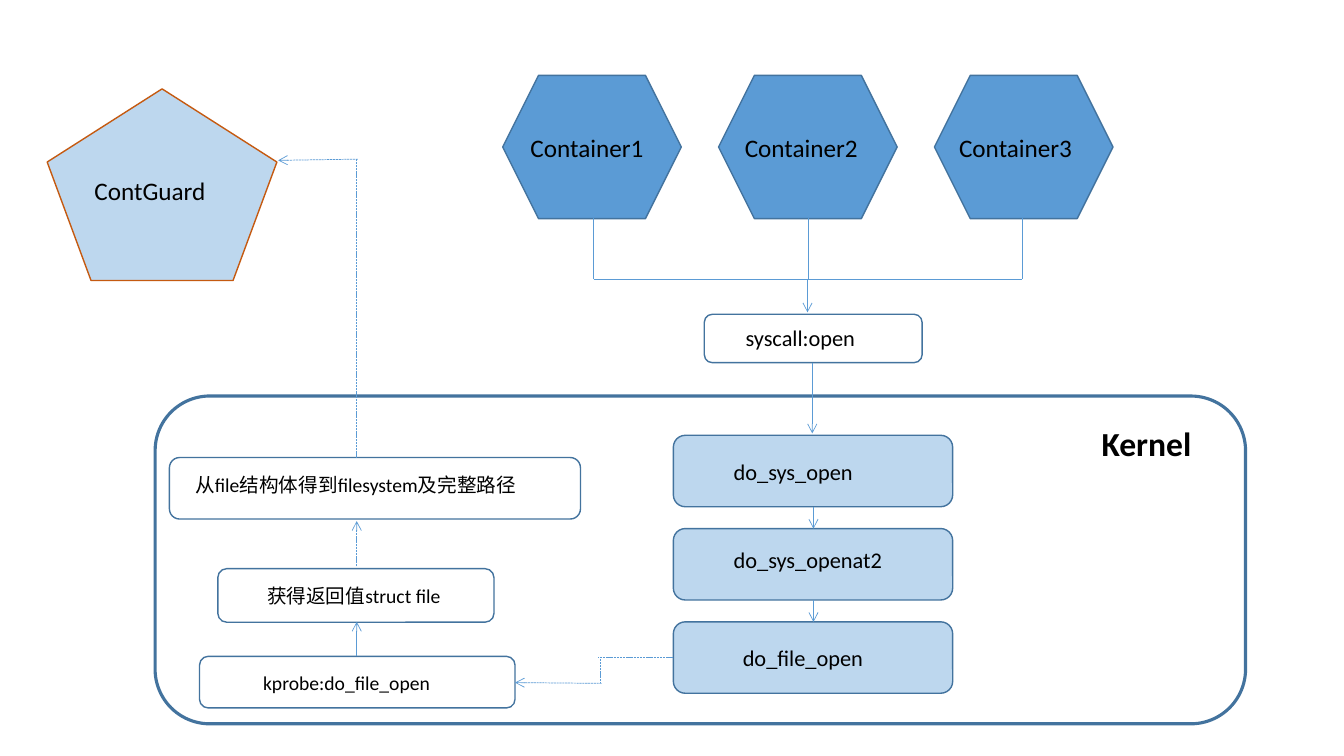
from pptx import Presentation
from pptx.dml.color import RGBColor
from pptx.enum.dml import MSO_LINE
from pptx.enum.shapes import MSO_CONNECTOR, MSO_SHAPE as SHP
from pptx.oxml.ns import qn
from pptx.util import Cm, Pt
from lxml.etree import SubElement

THEME = {
    "font": "Calibri", "text": "000000", "edge": "43739E", "wire": "5B9BD5",
    "container": "5B9BD5", "pale": "BDD7EE", "guard_edge": "C55A11",
    "title": 24, "name": 18, "call": 16, "probe": 14,
    "thin": 0.5, "normal": 1, "thick": 2.25,
}

GUARD = ("ContGuard", (1.19, 2.24, 5.79, 4.83), (2.13, 4.29, 3.94, 1.02))
KERNEL = ("Kernel", (3.91, 9.98, 27.48, 8.26), (27.51, 10.52, 3.15, 1.27))
SYSCALL = ("syscall:open", (17.75, 7.92, 5.49, 1.22), (18.54, 8.05, 4.62, 0.94))

CONTAINERS = ["Container1", "Container2", "Container3"]
CONTAINER_BOX = (12.67, 1.9, 4.5, 3.61)
CONTAINER_TEXT = (13.12, 3.2, 3.63, 1.02)
CONTAINER_STEP = 5.44
LABEL_STEP = 5.4
STEM_X, STEM_STEP, STEM_TOP, BUS_Y = 14.96, 5.4, 5.49, 7.04

CALLS = [
    ("do_sys_open", (18.24, 11.43, 4.5, 0.94)),
    ("do_sys_openat2", (18.24, 13.64, 4.83, 0.94)),
    ("do_file_open", (18.47, 16.1, 4.06, 0.94)),
]
CALL_BOX = (16.97, 10.97, 7.04, 1.8)
CALL_STEP = 2.35
CALL_X = 20.5

PROBES = [
    ("从file结构体得到filesystem及完整路径", (4.27, 11.53, 10.36, 1.55), (4.67, 11.79, 9.58, 0.86)),
    ("获得返回值struct file", (5.49, 14.33, 6.96, 1.35), (6.48, 14.58, 5.49, 0.86)),
    ("kprobe:do_file_open", (5.03, 16.54, 7.95, 1.3), (6.38, 16.79, 5.79, 0.86)),
]

WIRES = [
    ((20.35, 7.06), (20.35, 7.87), False, True),
    ((20.47, 9.14), (20.47, 10.92), False, True),
    ((9.02, 4.01), (7.01, 4.04), True, True),
    ((8.99, 4.01), (8.99, 11.53), True, False),
    ((8.99, 14.27), (8.99, 13.13), True, True),
    ((8.99, 16.54), (8.99, 15.67), False, True),
    ((15.16, 17.22), (12.98, 17.2), True, True),
    ((16.97, 16.56), (15.06, 16.56), True, False),
    ((15.14, 16.61), (15.14, 17.22), True, False),
]

prs = Presentation()
prs.slide_width, prs.slide_height = Cm(33.87), Cm(19.05)
s = prs.slides.add_slide(prs.slide_layouts[6])


def color(name):
    return RGBColor.from_string(THEME[name])


def shifted(box, dx=0, dy=0):
    x, y, w, h = box
    return x + dx, y + dy, w, h


def add_box(kind, box, fill=None, edge="edge", width="normal"):
    sp = s.shapes.add_shape(kind, *map(Cm, box))
    sp.shadow.inherit = False
    if fill:
        sp.fill.solid()
        sp.fill.fore_color.rgb = color(fill)
    else:
        sp.fill.background()
    sp.line.color.rgb = color(edge)
    sp.line.width = Pt(THEME[width])


def add_text(text, box, size="call", bold=False, wrap=True):
    tf = s.shapes.add_textbox(*map(Cm, box)).text_frame
    tf.word_wrap = wrap
    r = tf.paragraphs[0].add_run()
    r.text = text
    r.font.name = THEME["font"]
    r.font.size = Pt(THEME[size])
    r.font.bold = bold
    r.font.color.rgb = color("text")


def add_wire(start, end, dashed=False, arrow=False):
    cx = s.shapes.add_connector(MSO_CONNECTOR.STRAIGHT, *map(Cm, start + end))
    cx.line.color.rgb = color("wire")
    cx.line.width = Pt(THEME["thin"])
    if dashed:
        cx.line.dash_style = MSO_LINE.SQUARE_DOT
    sp_pr = cx.element.spPr
    if arrow:
        SubElement(sp_pr.find(qn("a:ln")), qn("a:tailEnd"), type="arrow")
    SubElement(sp_pr, qn("a:effectLst"))


name, box, label = GUARD
add_box(SHP.REGULAR_PENTAGON, box, fill="pale", edge="guard_edge")
add_text(name, label, size="name")

for i, name in enumerate(CONTAINERS):
    add_box(SHP.HEXAGON, shifted(CONTAINER_BOX, dx=i * CONTAINER_STEP), fill="container")
    add_text(name, shifted(CONTAINER_TEXT, dx=i * LABEL_STEP), size="name")
    x = STEM_X + i * STEM_STEP
    add_wire((x, STEM_TOP), (x, BUS_Y))
add_wire((STEM_X, BUS_Y), (x, BUS_Y))

name, box, label = SYSCALL
add_box(SHP.ROUNDED_RECTANGLE, box)
add_text(name, label)

name, box, label = KERNEL
add_box(SHP.ROUNDED_RECTANGLE, box, width="thick")
add_text(name, label, size="title", bold=True, wrap=False)

for name, box, label in PROBES:
    add_box(SHP.ROUNDED_RECTANGLE, box)
    add_text(name, label, size="probe")

for i, (name, label) in enumerate(CALLS):
    box = shifted(CALL_BOX, dy=i * CALL_STEP)
    add_box(SHP.ROUNDED_RECTANGLE, box, fill="pale")
    add_text(name, label)
    if i:
        top = box[1]
        add_wire((CALL_X, top - CALL_STEP + box[3]), (CALL_X, top), arrow=True)

for wire in WIRES:
    add_wire(*wire)

prs.save("out.pptx")
